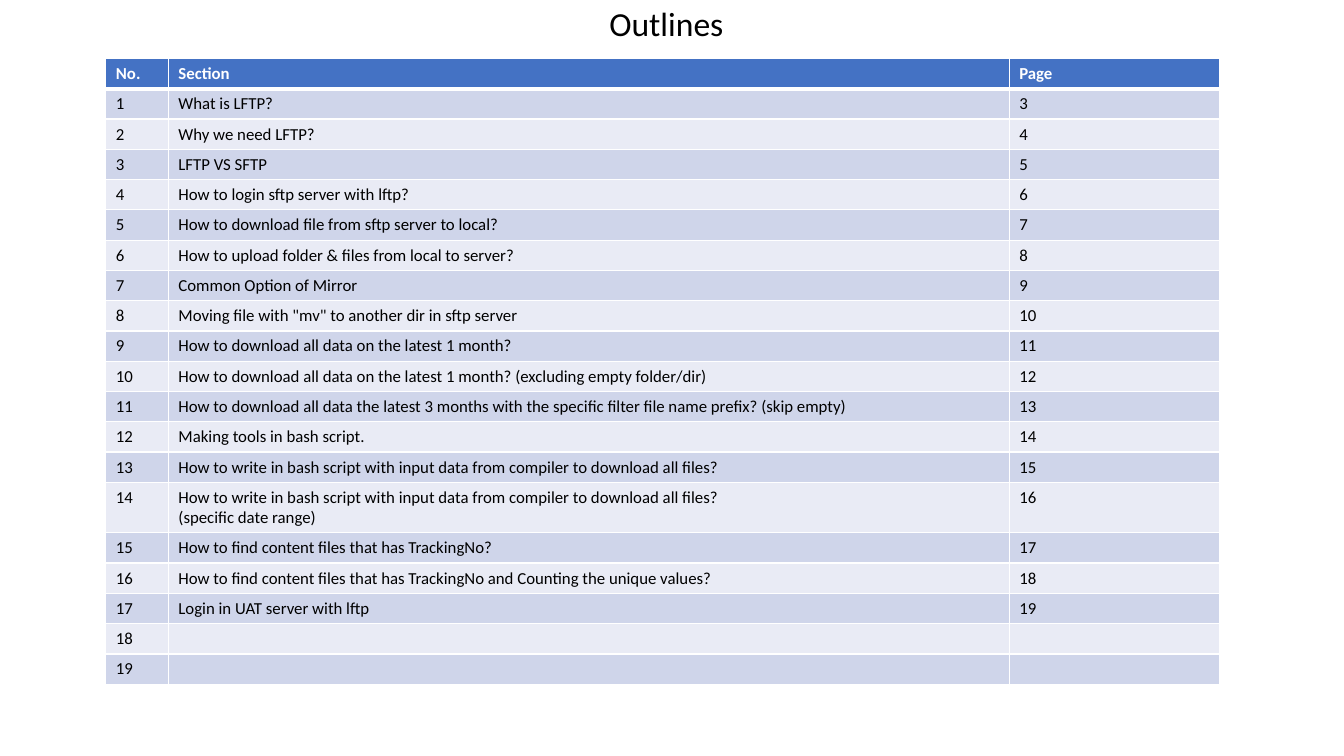
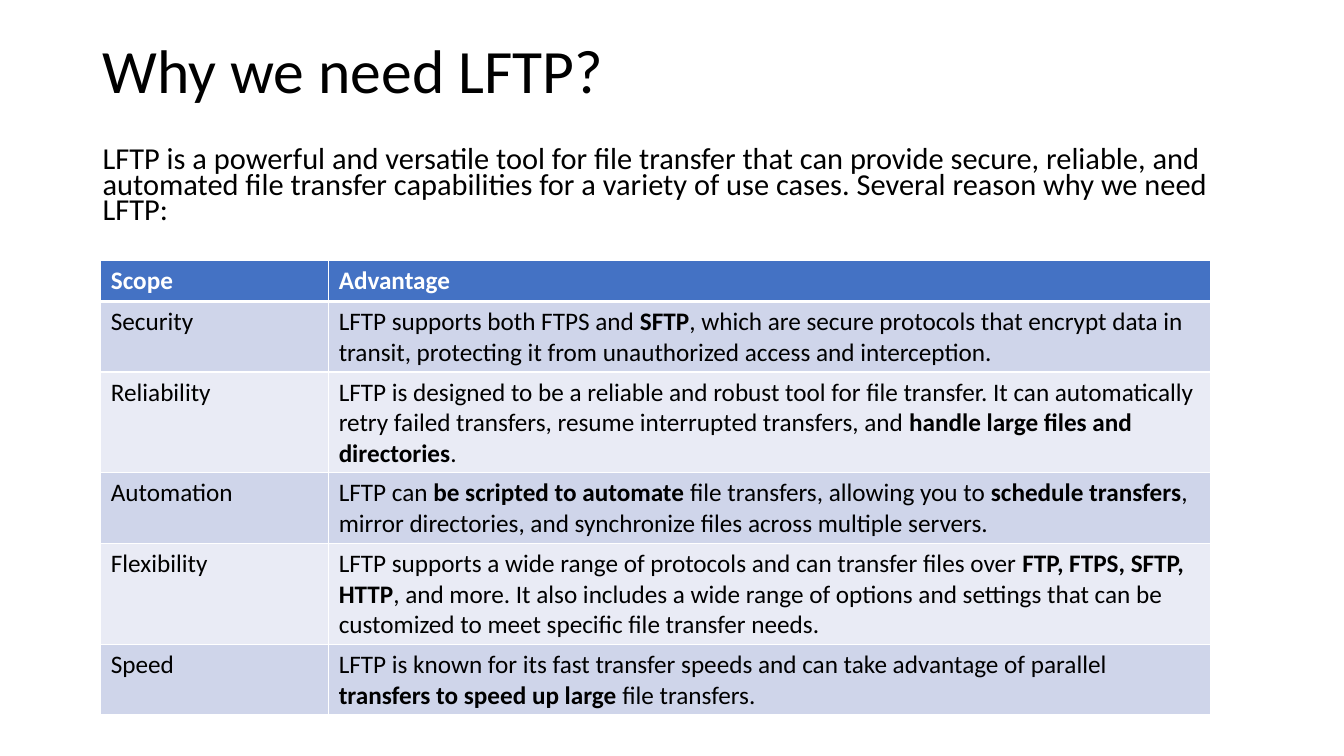
from lxml import etree
from pptx import Presentation
from pptx.dml.color import RGBColor
from pptx.enum import text
from pptx.oxml import ns
from pptx.util import Inches, Pt

COLOURS = {"header": "4472C4", "odd": "CFD5EA", "even": "E9EBF5",
           "grid": "FFFFFF", "ink": "000000", "header_ink": "FFFFFF"}
FONT = "Calibri"


def write(frame, content, size, colour="ink", bold=False, **paragraph_format):
    """Fill a text frame; **marked** words are bold and newlines are line breaks."""
    paragraph = frame.paragraphs[0]
    for name, value in paragraph_format.items():
        setattr(paragraph, name, value)
    for line_no, line in enumerate(content.split("\n")):
        if line_no:
            paragraph.add_line_break()
        for part_no, part in enumerate(line.split("**")):
            if part:
                run = paragraph.add_run()
                run.text = part
                look = {"name": FONT, "size": Pt(size), "bold": bold or part_no % 2 == 1}
                for name, value in look.items():
                    setattr(run.font, name, value)
                run.font.color.rgb = RGBColor.from_string(COLOURS[colour])
    if not content:
        etree.SubElement(paragraph._p, ns.qn("a:endParaRPr"), sz=str(size * 100))


def add_grid(slide, left, top, widths, row_height, rows, size):
    """Add a banded table whose first row is the header."""
    table = slide.shapes.add_table(
        len(rows), len(widths), Inches(left), Inches(top),
        Inches(sum(widths)), Inches(row_height * len(rows))).table
    for column, width in zip(table.columns, widths):
        column.width = Inches(width)
    for row_no, row in enumerate(rows):
        table.rows[row_no].height = Inches(row_height)
        band = "header" if row_no == 0 else ("even", "odd")[row_no % 2]
        for column_no, content in enumerate(row):
            cell = table.cell(row_no, column_no)
            properties = cell._tc.get_or_add_tcPr()
            for side in "LRTB":
                heavy = (row_no, side) in ((0, "B"), (1, "T"))
                border = etree.SubElement(properties, ns.qn(f"a:ln{side}"),
                                          w=str(Pt(3 if heavy else 1)))
                paint = etree.SubElement(border, ns.qn("a:solidFill"))
                etree.SubElement(paint, ns.qn("a:srgbClr"), val=COLOURS["grid"])
            cell.fill.solid()
            cell.fill.fore_color.rgb = RGBColor.from_string(COLOURS[band])
            write(cell.text_frame, content, size,
                  "header_ink" if row_no == 0 else "ink", bold=row_no == 0)


prs = Presentation()
prs.slide_width, prs.slide_height = Inches(13.33), Inches(7.5)

SECTIONS = [
    "What is LFTP?",
    "Why we need LFTP?",
    "LFTP VS SFTP",
    "How to login sftp server with lftp?",
    "How to download file from sftp server to local?",
    "How to upload folder & files from local to server?",
    "Common Option of Mirror",
    'Moving file with "mv" to another dir in sftp server',
    "How to download all data on the latest 1 month?",
    "How to download all data on the latest 1 month? (excluding empty folder/dir)",
    "How to download all data the latest 3 months with the specific filter file name prefix? (skip empty)",
    "Making tools in bash script.",
    "How to write in bash script with input data from compiler to download all files?",
    "How to write in bash script with input data from compiler to download all files?\n(specific date range)",
    "How to find content files that has TrackingNo?",
    "How to find content files that has TrackingNo and Counting the unique values?",
    "Login in UAT server with lftp",
    "",
    "",
]
FIRST_PAGE = 3
outline_rows = [("No.", "Section", "Page")]
for number, section in enumerate(SECTIONS, 1):
    page = str(number + FIRST_PAGE - 1) if section else ""
    outline_rows.append((str(number), section, page))

ADVANTAGES = [
    ("Scope", "Advantage"),
    ("Security", "LFTP supports both FTPS and **SFTP**, which are secure protocols that encrypt "
     "data in transit, protecting it from unauthorized access and interception."),
    ("Reliability", "LFTP is designed to be a reliable and robust tool for file transfer. It can "
     "automatically retry failed transfers, resume interrupted transfers, and "
     "**handle large files and directories**."),
    ("Automation", "LFTP can **be scripted to automate** file transfers, allowing you to "
     "**schedule transfers**, mirror directories, and synchronize files across multiple servers."),
    ("Flexibility", "LFTP supports a wide range of protocols and can transfer files over "
     "**FTP, FTPS, SFTP, HTTP**, and more. It also includes a wide range of options and settings "
     "that can be customized to meet specific file transfer needs."),
    ("Speed", "LFTP is known for its fast transfer speeds and can take advantage of parallel "
     "**transfers to speed up large** file transfers."),
]
INTRO = ("LFTP is a powerful and versatile tool for file transfer that can provide secure, "
         "reliable, and automated file transfer capabilities for a variety of use cases. "
         "Several reason why we need LFTP:")

CENTRE, LEFT = text.PP_ALIGN.CENTER, text.PP_ALIGN.LEFT
MIDDLE, TOP = text.MSO_ANCHOR.MIDDLE, text.MSO_ANCHOR.TOP
TITLE = {"line_spacing": 0.9}
BODY = {"line_spacing": 0.7, "space_before": Pt(10)}

# Each slide: its texts (left, top, height, anchor, words, size, format), then its table
SLIDES = [
    ([(0.86, 0.06, 0.39, MIDDLE, "Outlines", 24, {**TITLE, "alignment": CENTRE})],
     (1.05, 0.58, (0.62, 8.34, 2.09), 0.3, outline_rows, 12)),
    ([(0.92, 0, 1.45, MIDDLE, "Why we need LFTP?", 44, {**TITLE, "alignment": LEFT}),
      (0.92, 1.43, 0.89, TOP, INTRO, 21.7, {**BODY, "alignment": LEFT})],
     (1, 2.58, (2.26, 8.75), 0.41, ADVANTAGES, 18)),
]
TEXT_WIDTH = 11.5

for texts, grid in SLIDES:
    slide = prs.slides.add_slide(prs.slide_layouts[6])
    for left, top, height, anchor, words, size, paragraph_format in texts:
        frame = slide.shapes.add_textbox(Inches(left), Inches(top), Inches(TEXT_WIDTH),
                                         Inches(height)).text_frame
        frame.word_wrap = True
        frame.vertical_anchor = anchor
        write(frame, words, size, **paragraph_format)
    add_grid(slide, *grid)

prs.save("out.pptx")
